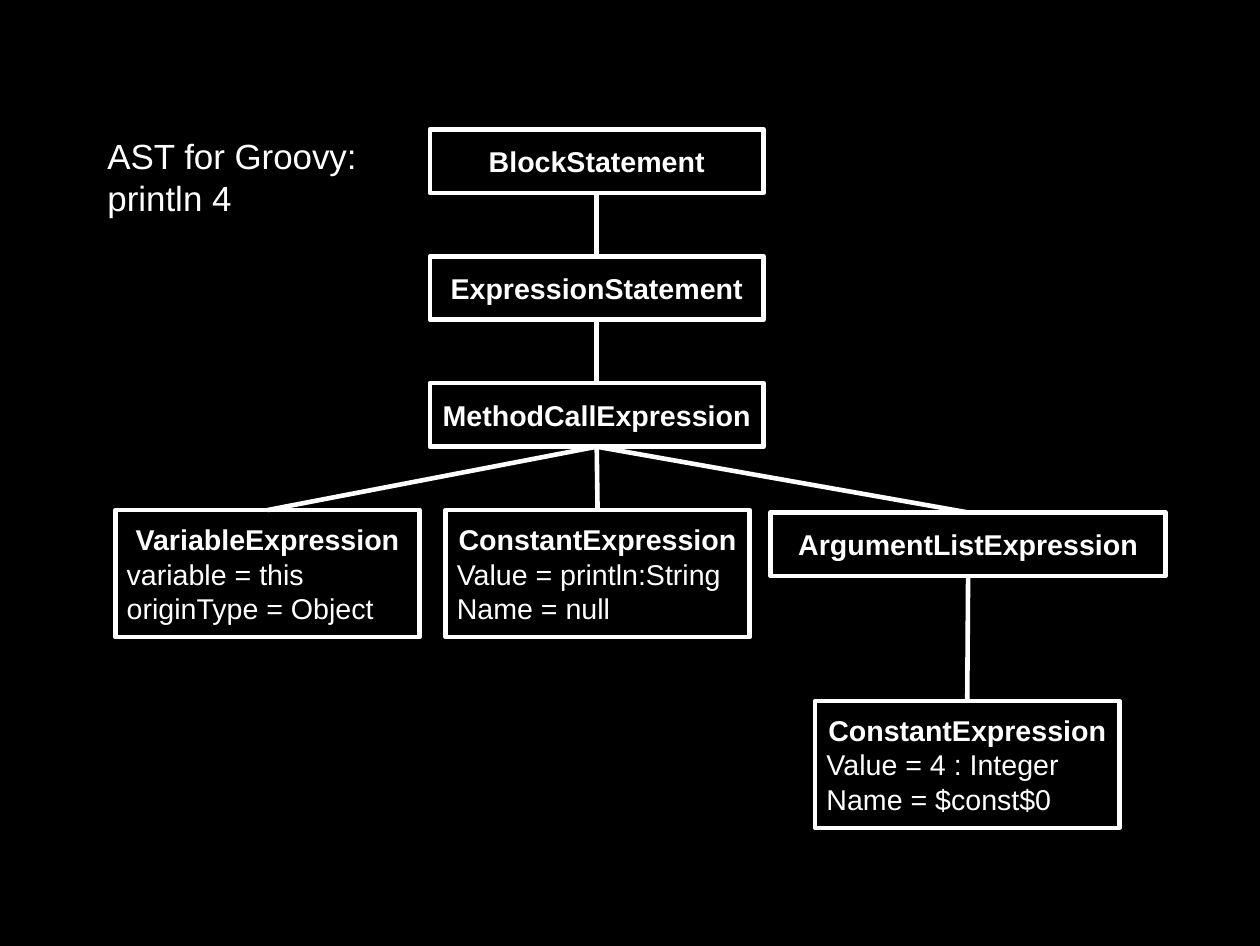
from dataclasses import dataclass

from lxml import etree
from pptx import Presentation
from pptx.dml.color import RGBColor
from pptx.enum import shapes, text
from pptx.oxml import ns
from pptx.util import Pt


@dataclass
class Theme:
    back: RGBColor = RGBColor(0, 0, 0)
    ink: RGBColor = RGBColor(255, 255, 255)
    font: str = "Arial"
    head: int = 22
    body: int = 18
    line: float = 2.89


theme = Theme()


def style(para, size, bold, align):
    para.alignment = align
    for run in para.runs:
        run.font.name = theme.font
        run.font.size = Pt(size)
        run.font.bold = bold
        run.font.color.rgb = theme.ink


# Slide
prs = Presentation()
prs.slide_width, prs.slide_height = Pt(793.5), Pt(595.5)
slide = prs.slides.add_slide(prs.slide_layouts[5])
slide.background.fill.solid()
slide.background.fill.fore_color.rgb = theme.back

# Title
title = slide.shapes.title
title.left, title.top, title.width, title.height = Pt(60.5), Pt(81.4), Pt(191.5), Pt(81.4)
frame = title.text_frame
frame.text = "AST for Groovy:\nprintln 4"
frame.word_wrap = True
frame.auto_size = text.MSO_AUTO_SIZE.NONE
frame.vertical_anchor = text.MSO_ANCHOR.TOP
for para in frame.paragraphs:
    style(para, theme.head, False, text.PP_ALIGN.LEFT)

# Tree nodes: key, left, top, width, lines of text
top, step, low = 81.4, 79.9, 40
wide, slim = 210.2, 191.5
nodes = [
    ("block", 270.7, top, wide, ["BlockStatement"]),
    ("expr", 270.7, top + step, wide, ["ExpressionStatement"]),
    ("call", 270.7, top + 2 * step, wide, ["MethodCallExpression"]),
    ("var", 72.7, top + 3 * step, slim,
     ["VariableExpression", "variable = this", "originType = Object"]),
    ("name", 280.6, top + 3 * step, slim,
     ["ConstantExpression", "Value = println:String", "Name = null"]),
    ("args", 485.4, 322.6, 248.6, ["ArgumentListExpression"]),
    ("value", 513.4, 441.2, slim,
     ["ConstantExpression", "Value = 4 : Integer", "Name = $const$0"]),
]
boxes = {}
for key, left, y, width, lines in nodes:
    height = low if len(lines) == 1 else 2 * low
    box = slide.shapes.add_shape(shapes.MSO_SHAPE.FLOWCHART_PROCESS,
                                 Pt(left), Pt(y), Pt(width), Pt(height))
    box.shadow.inherit = False
    box.fill.background()
    box.line.color.rgb = theme.ink
    box.line.width = Pt(theme.line)
    frame = box.text_frame
    frame.text = "\n".join(lines)
    frame.word_wrap = True
    frame.vertical_anchor = text.MSO_ANCHOR.MIDDLE
    for i, para in enumerate(frame.paragraphs):
        align = text.PP_ALIGN.LEFT if i else text.PP_ALIGN.CENTER
        style(para, theme.body, i == 0, align)
    boxes[key] = box

# Branches from parent to child
links = [("block", "expr"), ("expr", "call"), ("call", "var"),
         ("call", "name"), ("call", "args"), ("args", "value")]
for parent, child in links:
    link = slide.shapes.add_connector(shapes.MSO_CONNECTOR.STRAIGHT, 0, 0, 0, 0)
    link.begin_connect(boxes[parent], 2)
    link.end_connect(boxes[child], 0)
    link.line.color.rgb = theme.ink
    link.line.width = Pt(theme.line)
    etree.SubElement(link._element.spPr, ns.qn("a:effectLst"))

prs.save("out.pptx")
